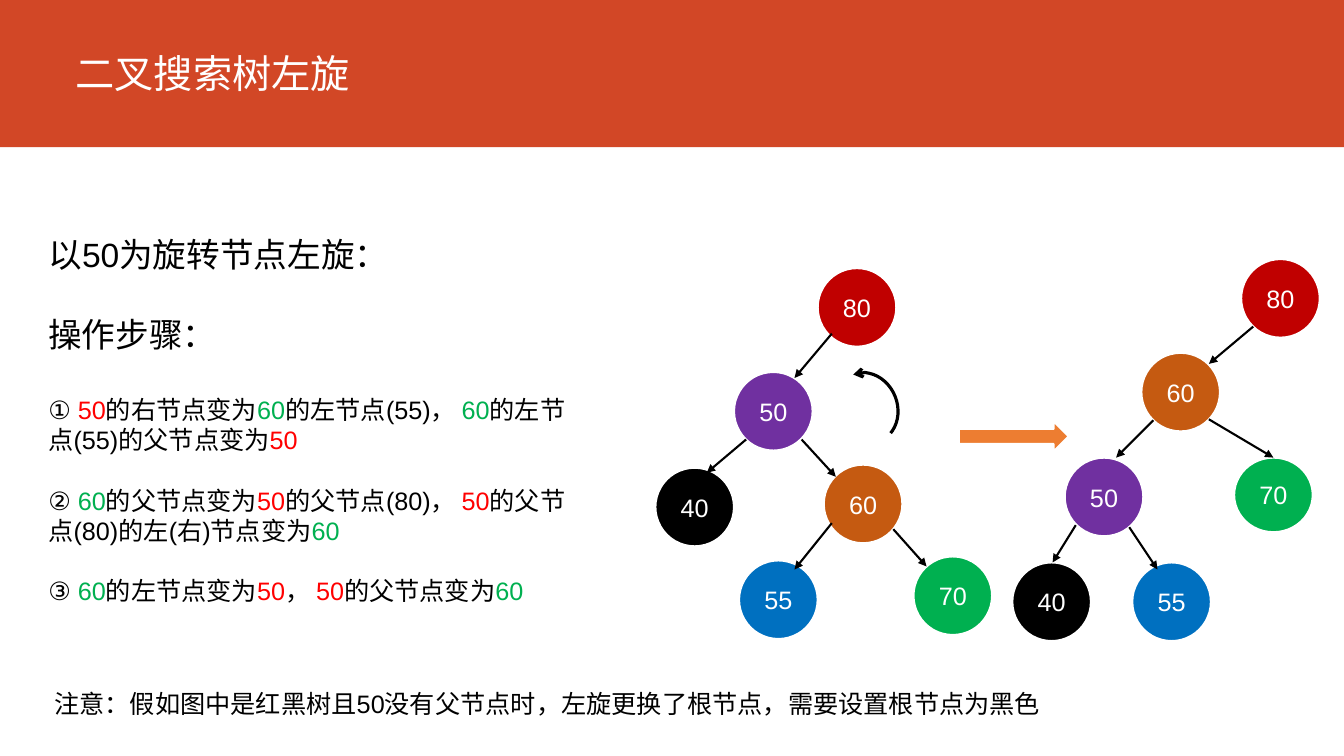
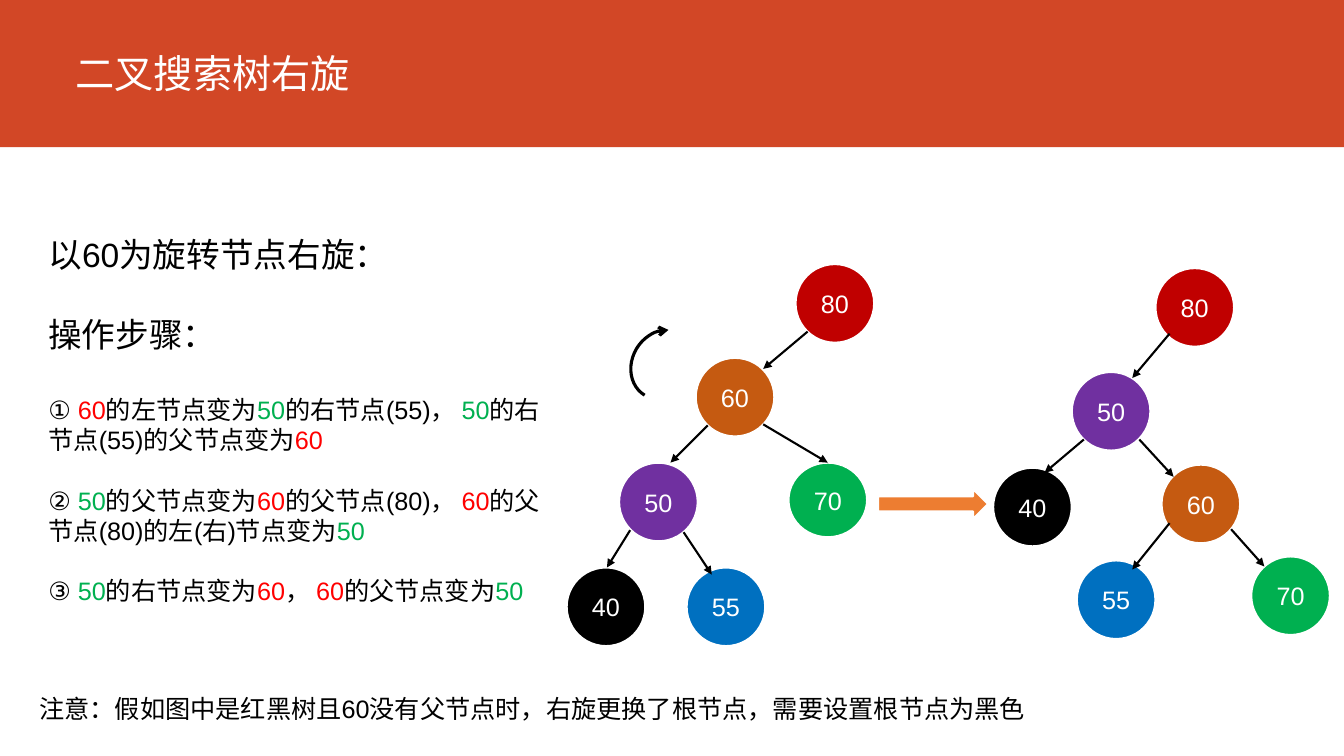
from lxml import etree
from pptx import Presentation
from pptx.dml.color import RGBColor
from pptx.enum.shapes import MSO_CONNECTOR, MSO_SHAPE
from pptx.enum.text import MSO_ANCHOR as Anchor, MSO_AUTO_SIZE as AutoSize, PP_ALIGN as Align
from pptx.oxml.ns import qn
from pptx.util import Inches, Pt

BAND = RGBColor(0xD2, 0x47, 0x26)
WHITE = RGBColor(0xFF, 0xFF, 0xFF)
BLACK = RGBColor(0x00, 0x00, 0x00)
RED = RGBColor(0xFF, 0x00, 0x00)
GREEN = RGBColor(0x00, 0xB0, 0x50)
ORANGE = RGBColor(0xED, 0x7D, 0x31)
NODE_COLORS = {
    "40": BLACK,
    "50": RGBColor(0x70, 0x30, 0xA0),
    "55": RGBColor(0x00, 0x70, 0xC0),
    "60": RGBColor(0xC5, 0x5A, 0x11),
    "70": GREEN,
    "80": RGBColor(0xC0, 0x00, 0x00),
}
BODY_FONT = "Arial"
TITLE_FONT = "Noto Sans CJK SC"
NODE_SIZE = 0.78

TREE_WITH_50_ON_TOP = {
    "nodes": {
        "80": (1.61, 0), "50": (0.78, 1.03), "40": (0, 1.98),
        "60": (1.67, 1.95), "55": (0.83, 2.9), "70": (2.56, 2.86),
    },
    "edges": [
        (1.75, 0.65, 1.38, 1.09), (0.9, 1.7, 0.51, 2.03), (1.45, 1.7, 1.79, 2.07),
        (1.75, 2.53, 1.38, 2.99), (2.36, 2.59, 2.69, 2.96),
    ],
    "heights": {},
}
TREE_WITH_60_ON_TOP = {
    "nodes": {
        "80": (2.27, 0), "60": (1.28, 0.93), "50": (0.52, 1.97),
        "40": (0, 3.01), "55": (1.19, 3.01), "70": (2.2, 1.97),
    },
    "edges": [
        (2.39, 0.67, 1.95, 1.04), (1.4, 1.6, 1.03, 1.97), (0.63, 2.64, 0.4, 3.01),
        (1.16, 2.66, 1.44, 3.08), (1.95, 1.59, 2.59, 1.97),
    ],
    "heights": {"70": 0.74},
}
STEPS = [
    "① P的{other}节点变为C的{side}节点(55)， C的{side}节点(55)的父节点变为P",
    "② C的父节点变为P的父节点(80)， P的父节点(80)的左(右)节点变为C",
    "③ C的{side}节点变为P， P的父节点变为C",
]
ROTATIONS = [
    {
        "side": "左", "other": "右", "pivot": "50", "child": "60", "steps_width": 5.51,
        "trees": [(TREE_WITH_50_ON_TOP, 6.5, 2.66), (TREE_WITH_60_ON_TOP, 10.04, 2.57)],
        "arrow": (9.51, 4.18), "arc": (8.29, 3.69, 338.1, "headEnd"),
        "note": (0.44, 6.78, 10.23, 0.4),
    },
    {
        "side": "右", "other": "左", "pivot": "60", "child": "50", "steps_width": 5.32,
        "trees": [(TREE_WITH_60_ON_TOP, 5.62, 2.62), (TREE_WITH_50_ON_TOP, 9.85, 2.66)],
        "arrow": (8.71, 4.85), "arc": (6.27, 3.26, 210.7, "tailEnd"),
        "note": (0.29, 6.83, 10.08, 0.4),
    },
]


def add_text(paragraph, text, size=18, color=BLACK, font=BODY_FONT):
    """Add one formatted run to a paragraph."""
    run = paragraph.add_run()
    run.text = text
    run.font.size = Pt(size)
    run.font.name = font
    run.font.color.rgb = color


def place(shape, left, top, width, height):
    """Move a shape to a box given in inches."""
    shape.left, shape.top = Inches(left), Inches(top)
    shape.width, shape.height = Inches(width), Inches(height)


def add_preset(slide, preset, box, fill=None, line=WHITE, line_width=1.5):
    """Add a flat preset shape, unfilled when no fill is given."""
    shape = slide.shapes.add_shape(preset, *map(Inches, box))
    shape.shadow.inherit = False
    if fill is None:
        shape.fill.background()
    else:
        shape.fill.solid()
        shape.fill.fore_color.rgb = fill
    shape.line.color.rgb = line
    shape.line.width = Pt(line_width)
    return shape


def add_arrowhead(shape, end, kind):
    """Put an arrowhead on one end of a line."""
    line = shape.line.fill and shape._element.spPr.find(qn("a:ln"))
    etree.SubElement(line, qn(f"a:{end}"), type=kind)


def add_edge(slide, start_x, start_y, end_x, end_y):
    """Add an arrow from a parent node to its child."""
    edge = slide.shapes.add_connector(
        MSO_CONNECTOR.STRAIGHT, *map(Inches, (start_x, start_y, end_x, end_y)))
    edge.line.color.rgb = BLACK
    edge.line.width = Pt(1.5)
    add_arrowhead(edge, "tailEnd", "triangle")
    etree.SubElement(edge._element.spPr, qn("a:effectLst"))


def add_tree(slide, tree, left, top):
    """Draw the nodes and edges of a tree from its top left corner."""
    for key, (x, y) in tree["nodes"].items():
        height = tree["heights"].get(key, NODE_SIZE)
        node = add_preset(slide, MSO_SHAPE.OVAL, (left + x, top + y, NODE_SIZE, height),
                          NODE_COLORS[key])
        node.text_frame.vertical_anchor = Anchor.MIDDLE
        paragraph = node.text_frame.paragraphs[0]
        paragraph.alignment = Align.CENTER
        add_text(paragraph, key, color=WHITE)
    for x1, y1, x2, y2 in tree["edges"]:
        add_edge(slide, left + x1, top + y1, left + x2, top + y2)


def add_turn(slide, left, top, rotation, end):
    """Add the curved arrow that shows the turning direction."""
    arc = add_preset(slide, MSO_SHAPE.ARC, (left, top, 0.61, 0.71), line=BLACK, line_width=2.25)
    arc.adjustments[0], arc.adjustments[1] = 162, 41.07
    arc.rotation = rotation
    add_arrowhead(arc, end, "arrow")


def fill_title(title, text):
    """Place and write the slide title on the band."""
    place(title, 0.65, 0.38, 11.76, 0.63)
    frame = title.text_frame
    frame.auto_size = AutoSize.NONE
    frame.vertical_anchor = Anchor.BOTTOM
    frame.paragraphs[0].alignment = Align.LEFT
    add_text(frame.paragraphs[0], text, size=28, color=WHITE, font=TITLE_FONT)


def fill_steps(body, rotation):
    """Write the headings and numbered steps, colouring pivot and child."""
    place(body, 0.38, 2.27, rotation["steps_width"], 3.84)
    frame = body.text_frame
    frame.auto_size = AutoSize.NONE
    frame.vertical_anchor = Anchor.TOP
    marked = {"P": (rotation["pivot"], RED), "C": (rotation["child"], GREEN)}
    side, other = rotation["side"], rotation["other"]
    lines = [(f"以{rotation['pivot']}为旋转节点{side}旋：", 24, 0), ("操作步骤：", 24, 28.5)]
    for index, step in enumerate(STEPS):
        lines.append((step.format(side=side, other=other), 18, 21.5 if index else 28.5))
    for index, (text, size, space) in enumerate(lines):
        paragraph = frame.add_paragraph() if index else frame.paragraphs[0]
        properties = paragraph._p.get_or_add_pPr()
        properties.set("marL", "0")
        properties.set("indent", "0")
        etree.SubElement(properties, qn("a:buNone"))
        paragraph.space_before = Pt(space)
        for part in text.replace("P", "|P|").replace("C", "|C|").split("|"):
            if part:
                words, color = marked.get(part, (part, BLACK))
                add_text(paragraph, words, size=size, color=color)


def add_note(slide, box, rotation):
    """Add the remark at the foot of the slide."""
    frame = slide.shapes.add_textbox(*map(Inches, box)).text_frame
    frame.word_wrap = True
    add_text(frame.paragraphs[0], f"注意：假如图中是红黑树且{rotation['pivot']}没有父节点时，"
             f"{rotation['side']}旋更换了根节点，需要设置根节点为黑色")


def add_band(slide):
    """Put the title band on the layout that the slides share."""
    band = add_preset(slide, MSO_SHAPE.RECTANGLE, (0, 0, 13.33, 1.46), BAND)
    band.line.fill.background()
    slide.slide_layout.shapes._spTree.insert(2, band._element)


def build_rotation_slide(slide, rotation):
    """Fill one slide that explains a tree rotation."""
    fill_title(slide.shapes.title, f"二叉搜索树{rotation['side']}旋")
    fill_steps(slide.placeholders[1], rotation)
    for tree, left, top in rotation["trees"]:
        add_tree(slide, tree, left, top)
    add_preset(slide, MSO_SHAPE.RIGHT_ARROW, (*rotation["arrow"], 1.09, 0.3), ORANGE)
    add_turn(slide, *rotation["arc"])
    add_note(slide, rotation["note"], rotation)


def main():
    """Build and save the presentation."""
    presentation = Presentation()
    presentation.slide_width, presentation.slide_height = Inches(13.33), Inches(7.5)
    layout = presentation.slide_layouts[1]
    for index, rotation in enumerate(ROTATIONS):
        slide = presentation.slides.add_slide(layout)
        if index == 0:
            add_band(slide)
        build_rotation_slide(slide, rotation)
    presentation.save("out.pptx")


if __name__ == "__main__":
    main()
